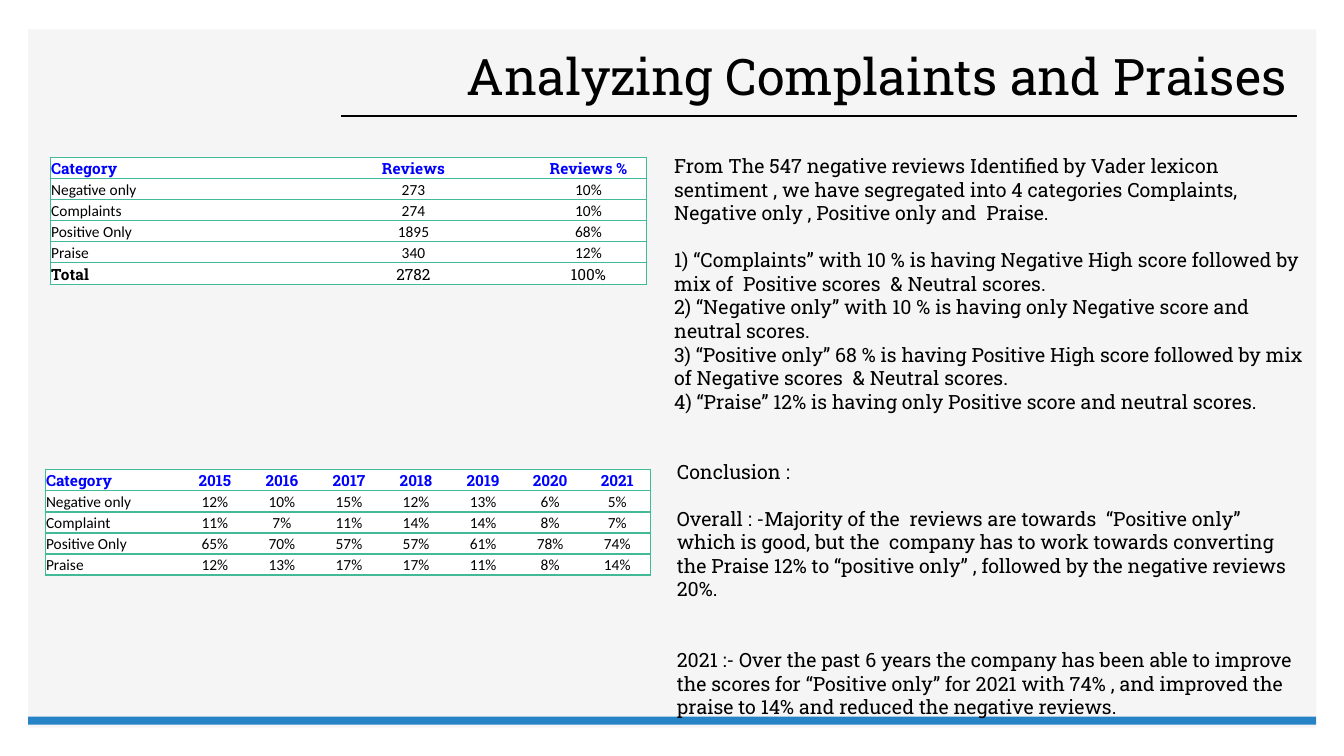
from pptx import Presentation
from pptx.dml.color import RGBColor
from pptx.enum.shapes import MSO_CONNECTOR, MSO_SHAPE
from pptx.enum.text import MSO_ANCHOR, MSO_AUTO_SIZE, PP_ALIGN
from pptx.oxml.ns import qn
from pptx.util import Cm, Pt
from lxml.etree import SubElement

HUES = {"panel": "F5F5F5", "bar": "2683C6", "ink": "000000",
        "head": "0000FF", "grid": "42BA97", "cell": "FFFFFF"}
SLAB, SANS = "Roboto Slab", "Calibri"
PLAIN = "{2D5ABB26-0587-4C30-8999-92F81FD0307C}"  # table style without grid
LINE = 16.8  # height of one body line in points

TOTALS = [
    ["Category", "Reviews", "Reviews %"],
    ["Negative only", "273", "10%"],
    ["Complaints", "274", "10%"],
    ["Positive Only", "1895", "68%"],
    ["Praise", "340", "12%"],
    ["Total", "2782", "100%"],
]
YEARS = [
    ["Category", "2015", "2016", "2017", "2018", "2019", "2020", "2021"],
    ["Negative only", "12%", "10%", "15%", "12%", "13%", "6%", "5%"],
    ["Complaint", "11%", "7%", "11%", "14%", "14%", "8%", "7%"],
    ["Positive Only", "65%", "70%", "57%", "57%", "61%", "78%", "74%"],
    ["Praise", "12%", "13%", "17%", "17%", "11%", "8%", "14%"],
]
# Each paragraph: lines of space before it, text
GROUPS = [
    (0, "From The 547 negative reviews Identified by Vader lexicon sentiment , "
        "we have segregated into 4 categories Complaints, Negative only , "
        "Positive only and  Praise."),
    (1, "1) “Complaints” with 10 % is having Negative High score followed by "
        "mix of  Positive scores  & Neutral scores."),
    (0, "2) “Negative only” with 10 % is having only Negative score and "
        "neutral scores."),
    (0, "3) “Positive only” 68 % is having Positive High score followed by mix "
        "of Negative scores  & Neutral scores."),
    (0, "4) “Praise” 12% is having only Positive score and neutral scores."),
]
CLOSING = [
    (0, "Conclusion :"),
    (1, "Overall : -Majority of the  reviews are towards  “Positive only”  "
        "which is good, but the  company has to work towards converting the "
        "Praise 12% to “positive only” , followed by the negative reviews 20%."),
    (2, "2021 :- Over the past 6 years the company has been able to improve "
        "the scores for “Positive only” for 2021 with 74% , and improved the "
        "praise to 14% and reduced the negative reviews."),
]


def tint(name):
    return RGBColor.from_string(HUES[name])


def add_run(para, text, size, face=SLAB, hue="ink", bold=False):
    run = para.add_run()
    run.text = text
    font = run.font
    font.size, font.name, font.bold = Pt(size), face, bold
    font.color.rgb = tint(hue)


def add_rect(slide, left, top, width, height, hue):
    rect = slide.shapes.add_shape(
        MSO_SHAPE.RECTANGLE, Cm(left), Cm(top), Cm(width), Cm(height))
    rect.shadow.inherit = False
    rect.fill.solid()
    rect.fill.fore_color.rgb = tint(hue)
    rect.line.fill.background()


def add_rule(slide, left, right, top):
    rule = slide.shapes.add_connector(
        MSO_CONNECTOR.STRAIGHT, Cm(left), Cm(top), Cm(right), Cm(top))
    rule.line.width = Pt(1)
    rule.line.color.rgb = tint("ink")
    SubElement(rule._element.spPr, qn("a:effectLst"))


def add_box(slide, left, top, width, height):
    box = slide.shapes.add_textbox(Cm(left), Cm(top), Cm(width), Cm(height))
    frame = box.text_frame
    frame.word_wrap = True
    return frame


def add_title(slide, text):
    frame = add_box(slide, 9.4, 1.07, 23.29, 1.85)
    frame.vertical_anchor = MSO_ANCHOR.MIDDLE
    para = frame.paragraphs[0]
    para.alignment = PP_ALIGN.RIGHT
    para.line_spacing = 0.9
    add_run(para, text, 36)


def add_body(slide, left, top, width, height, items):
    frame = add_box(slide, left, top, width, height)
    frame.auto_size = MSO_AUTO_SIZE.SHAPE_TO_FIT_TEXT
    for i, (gap, text) in enumerate(items):
        para = frame.add_paragraph() if i else frame.paragraphs[0]
        if gap:
            para.space_before = Pt(LINE * gap)
        add_run(para, text, 14)


def add_edges(cell, sides):
    props = cell._tc.get_or_add_tcPr()
    for side in sides:
        edge = SubElement(props, qn("a:ln" + side), w=str(Pt(1)))
        fill = SubElement(edge, qn("a:solidFill"))
        SubElement(fill, qn("a:srgbClr"), val=HUES["grid"])


def style_of(row, col, label):
    if row == 0:
        return {"hue": "head", "bold": True}
    if label == "Total":
        return {"bold": col == 0}
    return {"face": SANS}


def add_grid(slide, left, top, widths, heights, rows):
    shape = slide.shapes.add_table(
        len(rows), len(widths), Cm(left), Cm(top),
        Cm(sum(widths)), Cm(sum(heights)))
    table = shape.table
    table.first_row = table.horz_banding = False
    table._tbl.tblPr.find(qn("a:tableStyleId")).text = PLAIN
    for col, width in zip(table.columns, widths):
        col.width = Cm(width)
    for row, height in zip(table.rows, heights):
        row.height = Cm(height)
    last = len(widths) - 1
    for r, row in enumerate(rows):
        for c, text in enumerate(row):
            cell = table.cell(r, c)
            cell.margin_left = cell.margin_right = cell.margin_top = Cm(0.02)
            cell.margin_bottom = Cm(0)
            cell.vertical_anchor = MSO_ANCHOR.BOTTOM
            # Outer sides only at the ends, rules between all rows
            sides = ["L"] * (c == 0) + ["R"] * (c == last) + ["T", "B"]
            add_edges(cell, sides)
            cell.fill.solid()
            cell.fill.fore_color.rgb = tint("cell")
            para = cell.text_frame.paragraphs[0]
            para.alignment = PP_ALIGN.CENTER if c else PP_ALIGN.LEFT
            add_run(para, text, 11, **style_of(r, c, row[0]))


def main():
    deck = Presentation()
    deck.slide_width, deck.slide_height = Cm(33.87), Cm(19.05)
    slide = deck.slides.add_slide(deck.slide_layouts[6])

    # Backdrop and heading
    add_rect(slide, 0.71, 0.74, 32.46, 17.6, "panel")
    add_rule(slide, 8.59, 32.69, 2.92)
    add_rect(slide, 0.71, 18.06, 32.46, 0.2, "bar")
    add_title(slide, "Analyzing Complaints and Praises")

    # Review totals and how the groups were made
    add_grid(slide, 1.27, 3.96, [6.2, 5.9, 2.92], [0.53] * 5 + [0.56], TOTALS)
    add_body(slide, 16.74, 3.76, 16.59, 6.83, GROUPS)

    # Conclusion and shares by year
    add_body(slide, 16.81, 11.46, 16.43, 6.25, CLOSING)
    add_grid(slide, 1.14, 11.84, [3.43] + [1.69] * 7, [0.53] * 5, YEARS)

    deck.save("out.pptx")


if __name__ == "__main__":
    main()
